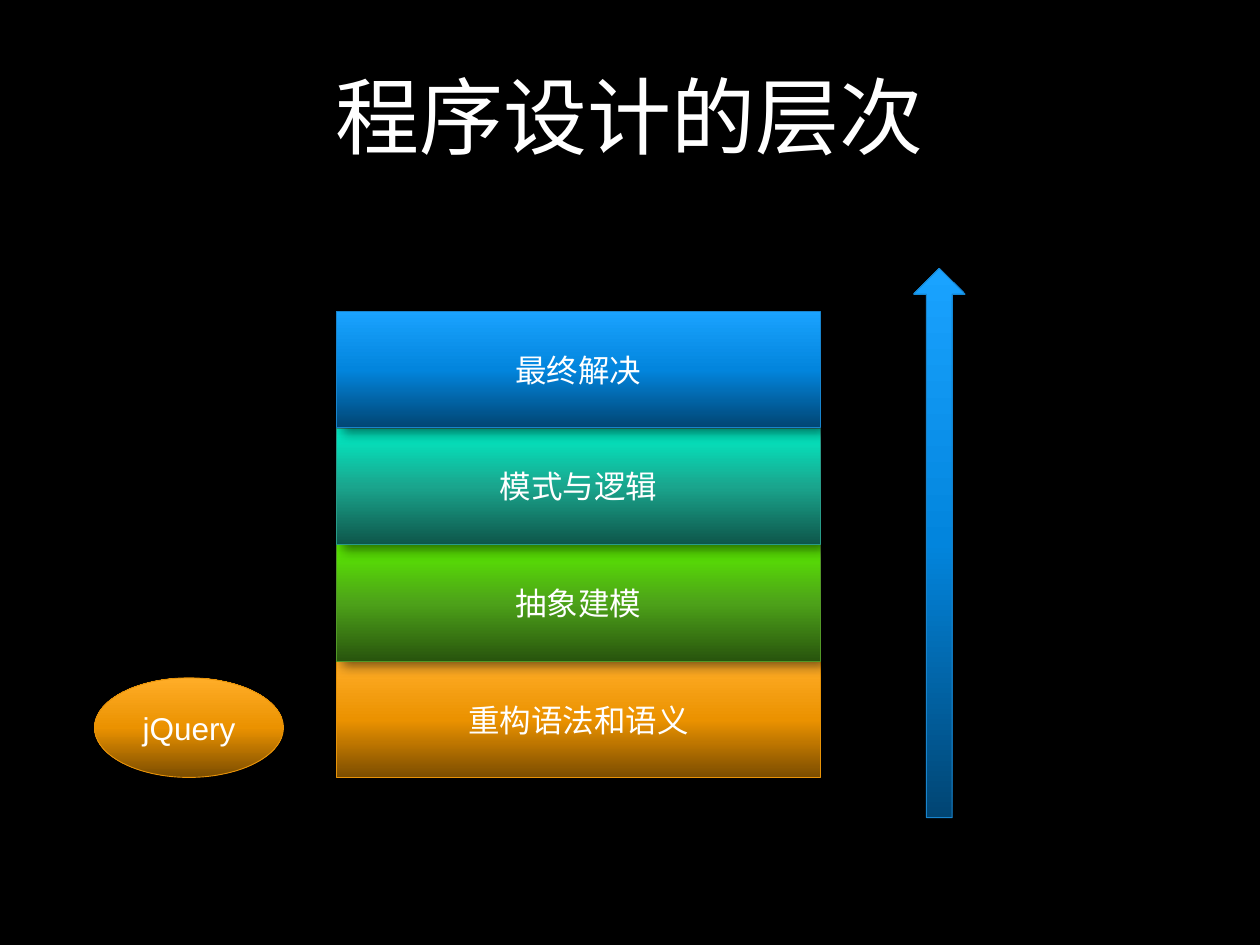
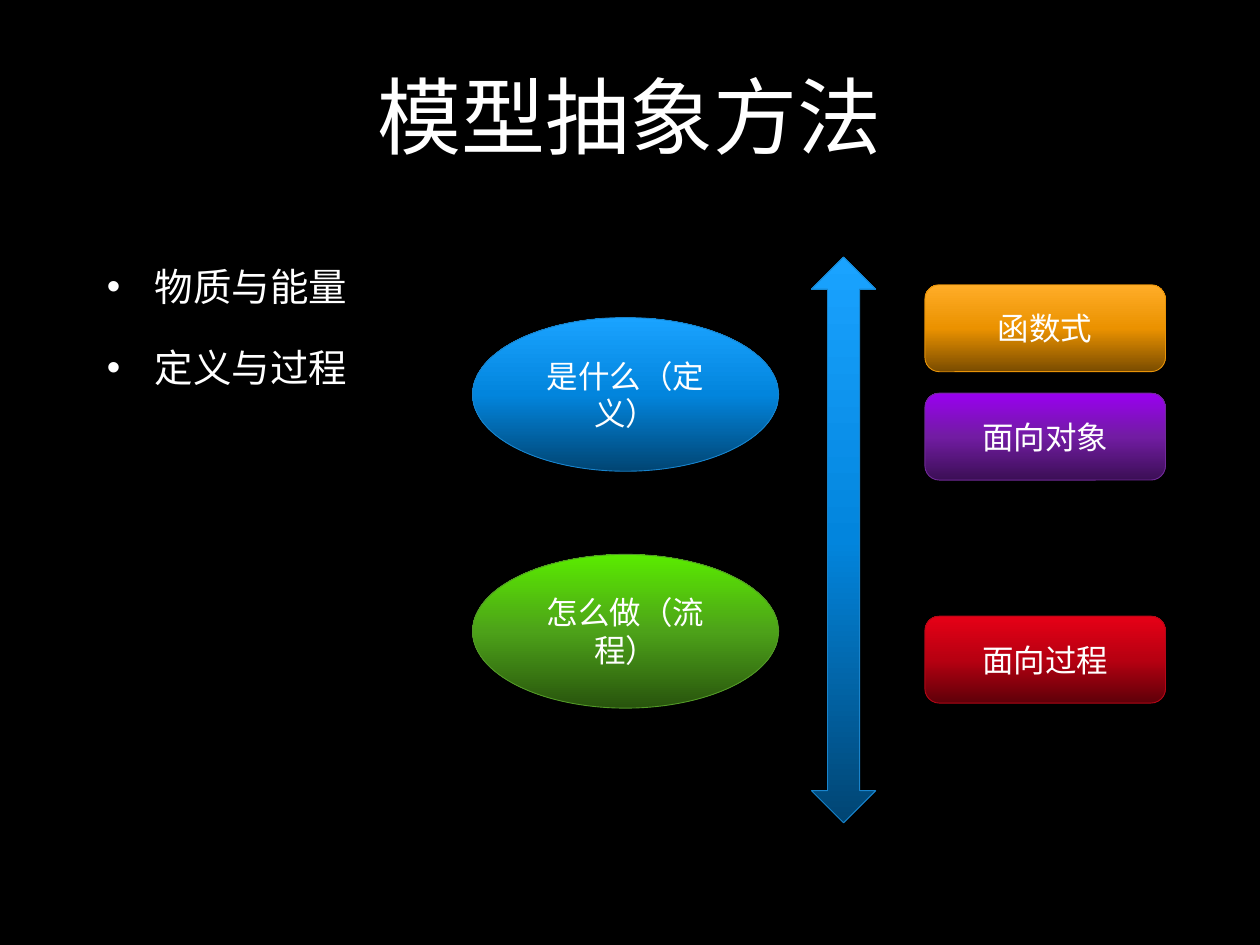
from dataclasses import dataclass
from typing import Any, NamedTuple

from lxml import etree
from pptx import Presentation
from pptx import util as u
from pptx.dml.color import RGBColor
from pptx.enum import shapes, text
from pptx.oxml import parse_xml
from pptx.oxml.ns import nsdecls, qn

COLUMNS, ROWS = 100, 75
Kind = shapes.MSO_SHAPE


class Shade(NamedTuple):
    dark: str
    middle: str
    light: str
    edge: str


@dataclass(frozen=True)
class Theme:
    background: str = "000000"
    ink: str = "FFFFFF"
    font: str = "Arial"
    title_size: int = 48
    body_size: int = 22
    label_size: int = 18
    edge_width: float = 0.5
    body_gap: int = 20
    bullet_indent: float = 0.38
    shadow_opacity: int = 55
    shadow_blur: int = 7
    shadow_distance: int = 4
    shadow_angle: int = 35
    blue: Shade = Shade("014573", "0285DD", "1AA3FF", "1884CD")
    teal: Shade = Shade("0E564A", "1AA58D", "00F0C7", "289B88")
    green: Shade = Shade("28540D", "4DA219", "5AEB00", "529827")
    orange: Shade = Shade("7A4C00", "EB9200", "FFAD28", "E89308")
    purple: Shade = Shade("3B0F55", "721CA3", "9900F0", "712A99")
    red: Shade = Shade("5F0009", "B70011", "E60016", "B50717")


THEME = Theme()


class Area(NamedTuple):
    column: float
    row: float
    columns: float
    rows: float


@dataclass(frozen=True)
class Figure:
    kind: Any
    area: Area
    shade: Shade
    label: str = ""


TITLE_AREA = Area(7.5, 1.3, 85, 15.6)
BODY_AREA = Area(7.5, 20.4, 85, 46.6)


def place(prs: Any, area: Area) -> tuple[int, ...]:
    across, down = prs.slide_width / COLUMNS, prs.slide_height / ROWS
    return (round(area.column * across), round(area.row * down),
            round(area.columns * across), round(area.rows * down))


def apply(target: Any, values: dict[str, Any]) -> None:
    for name, value in values.items():
        setattr(target, name, value)


def write(frame: Any, lines: list[str], size: int, anchor: Any, align: Any) -> None:
    apply(frame, {"word_wrap": True, "vertical_anchor": anchor})
    for index, line in enumerate(lines):
        paragraph = frame.add_paragraph() if index else frame.paragraphs[0]
        paragraph.alignment = align
        run = paragraph.add_run()
        run.text = line
        apply(run.font, {"name": THEME.font, "size": u.Pt(size)})
        run.font.color.rgb = RGBColor.from_string(THEME.ink)


def paint(shape: Any, shade: Shade) -> None:
    shape.fill.gradient()
    shape.fill.gradient_angle = 90
    stops = shape.element.spPr.find(".//" + qn("a:gsLst"))
    for stop in list(stops):
        stops.remove(stop)
    for position, color in zip((0, 50, 100), shade[:3]):
        stop = etree.SubElement(stops, qn("a:gs"), pos=str(position * 1000))
        etree.SubElement(stop, qn("a:srgbClr"), val=color)
    shape.line.color.rgb = RGBColor.from_string(shade.edge)
    shape.line.width = u.Pt(THEME.edge_width)


def cast_shadow(shape: Any) -> None:
    shape.shadow.inherit = False
    effects = shape.element.spPr.find(qn("a:effectLst"))
    effects.append(parse_xml(
        f'<a:outerShdw {nsdecls("a")} blurRad="{u.Pt(THEME.shadow_blur)}" '
        f'dist="{u.Pt(THEME.shadow_distance)}" dir="{THEME.shadow_angle * 60000}" '
        f'rotWithShape="0"><a:srgbClr val="{THEME.background}">'
        f'<a:alpha val="{THEME.shadow_opacity * 1000}"/></a:srgbClr></a:outerShdw>'))


def draw(prs: Any, slide: Any, figure: Figure) -> None:
    shape = slide.shapes.add_shape(figure.kind, *place(prs, figure.area))
    paint(shape, figure.shade)
    cast_shadow(shape)
    if figure.label:
        write(shape.text_frame, [figure.label], THEME.label_size,
              text.MSO_ANCHOR.MIDDLE, text.PP_ALIGN.CENTER)


def add_bullets(prs: Any, slide: Any, lines: list[str]) -> None:
    frame = slide.shapes.add_textbox(*place(prs, BODY_AREA)).text_frame
    write(frame, lines, THEME.body_size, text.MSO_ANCHOR.TOP, text.PP_ALIGN.LEFT)
    indent = u.Inches(THEME.bullet_indent)
    for paragraph in frame.paragraphs:
        paragraph.space_before = u.Pt(THEME.body_gap)
        properties = paragraph._p.get_or_add_pPr()
        properties.set("marL", str(indent))
        properties.set("indent", str(-indent))
        etree.SubElement(properties, qn("a:buFont"), typeface=THEME.font)
        etree.SubElement(properties, qn("a:buChar"), char="•")


def add_slide(prs: Any, title: str, bullets: list[str], figures: list[Figure]) -> None:
    slide = prs.slides.add_slide(prs.slide_layouts[6])
    slide.background.fill.solid()
    slide.background.fill.fore_color.rgb = RGBColor.from_string(THEME.background)
    heading = slide.shapes.add_textbox(*place(prs, TITLE_AREA))
    write(heading.text_frame, [title], THEME.title_size,
          text.MSO_ANCHOR.MIDDLE, text.PP_ALIGN.CENTER)
    if bullets:
        add_bullets(prs, slide, bullets)
    for figure in figures:
        draw(prs, slide, figure)


def design_levels() -> list[Figure]:
    levels = [("重构语法和语义", THEME.orange), ("抽象建模", THEME.green),
              ("模式与逻辑", THEME.teal), ("最终解决", THEME.blue)]
    bottom, height = 61.75, 9.26
    stack = [Figure(Kind.RECTANGLE, Area(26.7, bottom - height * step, 38.4, height), shade, label)
             for step, (label, shade) in enumerate(levels, 1)]
    return stack + [
        Figure(Kind.UP_ARROW, Area(72.5, 21.3, 4.1, 43.6), THEME.blue),
        Figure(Kind.OVAL, Area(7.5, 53.8, 15, 7.9), THEME.orange, "jQuery"),
    ]


def abstraction_methods() -> list[Figure]:
    questions = [("是什么（定义）", 25.2, THEME.blue), ("怎么做（流程）", 44, THEME.green)]
    paradigms = [("函数式", 22.6, THEME.orange), ("面向对象", 31.2, THEME.purple),
                 ("面向过程", 48.9, THEME.red)]
    return [
        *(Figure(Kind.OVAL, Area(37.5, row, 24.3, 12.2), shade, label)
          for label, row, shade in questions),
        Figure(Kind.UP_DOWN_ARROW, Area(64.4, 20.4, 5.1, 44.9), THEME.blue),
        *(Figure(Kind.ROUNDED_RECTANGLE, Area(73.4, row, 19.1, 6.9), shade, label)
          for label, row, shade in paradigms),
    ]


def main() -> None:
    prs = Presentation()
    apply(prs, {"slide_width": u.Inches(10), "slide_height": u.Inches(7.5)})
    add_slide(prs, "程序设计的层次", [], design_levels())
    add_slide(prs, "模型抽象方法", ["物质与能量", "定义与过程"], abstraction_methods())
    prs.save("out.pptx")


if __name__ == "__main__":
    main()
